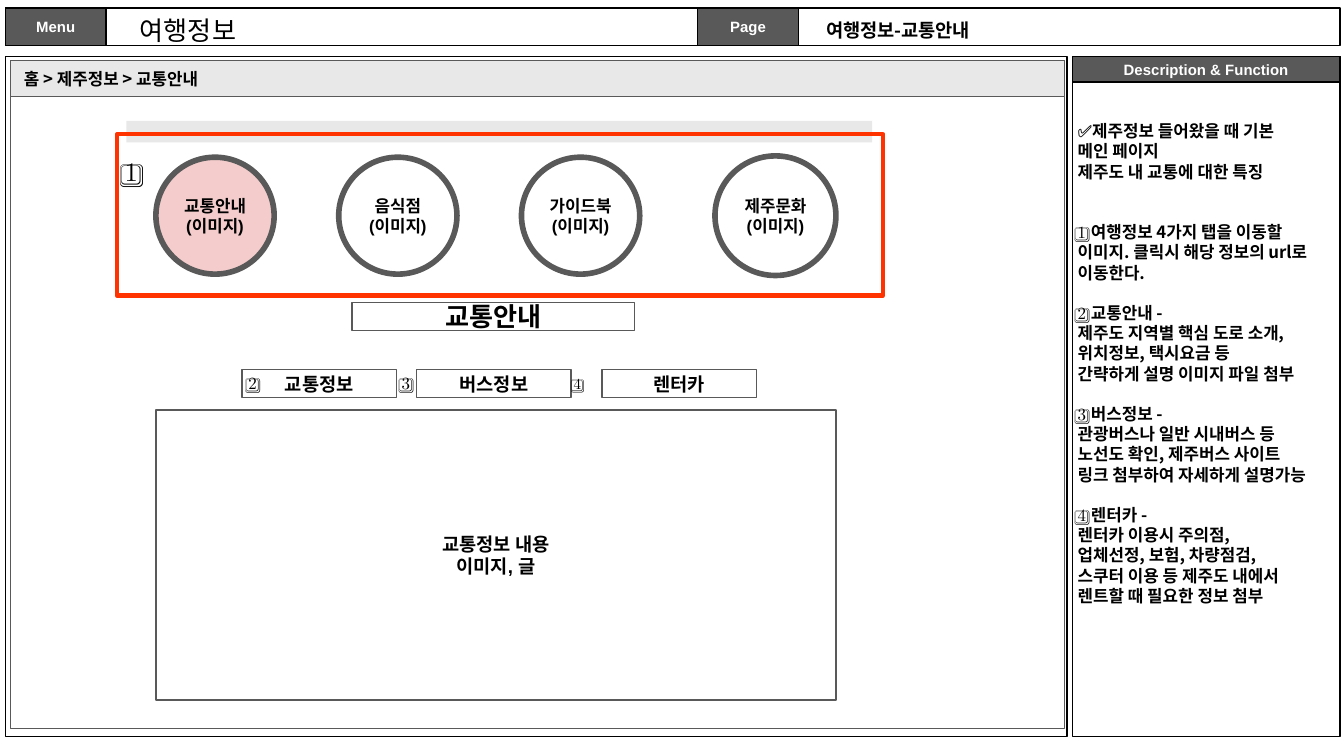
from dataclasses import dataclass

import pptx
import pptx.dml.color
import pptx.enum.shapes
import pptx.enum.text
import pptx.oxml
import pptx.oxml.ns
import pptx.util

SHAPE = pptx.enum.shapes.MSO_SHAPE
ALIGN = pptx.enum.text.PP_ALIGN
ANCHOR = pptx.enum.text.MSO_ANCHOR

# The slide is a grid of square cells: 100 columns by 56.25 rows
COLUMNS, ROWS = 100, 56.25
SLIDE_WIDTH = pptx.util.Inches(10)
CELL = SLIDE_WIDTH // COLUMNS


@dataclass(frozen=True)
class Theme:
    latin: str = "Arial"
    korean: str = "Noto Sans CJK KR"
    black: str = "000000"
    white: str = "FFFFFF"
    dark: str = "595959"
    pale: str = "E8E8E8"
    active: str = "F4CCCC"
    accent: str = "FF3300"
    title: float = 14
    heading: float = 10
    body: float = 9
    label: float = 8
    hairline: float = 0.75
    focus_line: float = 2.25
    ring: float = 3
    blank_line: float = 10.8


THEME = Theme()

# Each note: blank lines above it, keycap, heading, further lines
NOTES = [
    (0, "", "✅제주정보 들어왔을 때 기본",
     ["메인 페이지", "제주도 내 교통에 대한 특징"]),
    (2, "1️⃣ ", "여행정보 4가지 탭을 이동할",
     ["이미지. 클릭시 해당 정보의 url로", "이동한다."]),
    (1, "2️⃣ ", "교통안내 -",
     ["제주도 지역별 핵심 도로 소개,", "위치정보, 택시요금 등",
      "간략하게 설명 이미지 파일 첨부"]),
    (1, "3️⃣ ", "버스정보 -",
     ["관광버스나 일반 시내버스 등", "노선도 확인, 제주버스 사이트",
      "링크 첨부하여 자세하게 설명가능"]),
    (1, "4️⃣ ", "렌터카 -",
     ["렌터카 이용시 주의점,", "업체선정, 보험, 차량점검,",
      "스쿠터 이용 등 제주도 내에서", "렌트할 때 필요한 정보 첨부"]),
]


def cells(*lengths):
    return [round(length * CELL) for length in lengths]


def rgb(color):
    return pptx.dml.color.RGBColor.from_string(color)


def style(font, size, name=THEME.latin, color=THEME.black, bold=True):
    font.size = pptx.util.Pt(size)
    font.name = name
    font.bold = bold
    font.color.rgb = rgb(color)


def set_frame(frame, inset_x=1, inset_y=1, anchor=ANCHOR.TOP):
    frame.word_wrap = True
    frame.auto_size = pptx.enum.text.MSO_AUTO_SIZE.NONE
    frame.vertical_anchor = anchor
    frame.margin_left = frame.margin_right = cells(inset_x)[0]
    frame.margin_top = frame.margin_bottom = cells(inset_y)[0]


def add_panel(slide, box, fill=None, line=THEME.dark, width=THEME.hairline,
              lines=(), size=THEME.body, color=THEME.black, inset_x=1,
              kind=SHAPE.RECTANGLE):
    """Draw an outlined shape with optional centred lines of text."""
    panel = slide.shapes.add_shape(kind, *cells(*box))
    panel.shadow.inherit = False
    if fill:
        panel.fill.solid()
        panel.fill.fore_color.rgb = rgb(fill)
    else:
        panel.fill.background()
    if line:
        panel.line.color.rgb = rgb(line)
        panel.line.width = pptx.util.Pt(width)
    else:
        panel.line.fill.background()
    if lines:
        frame = panel.text_frame
        set_frame(frame, inset_x, anchor=ANCHOR.MIDDLE)
        frame.text = "\n".join(lines)
        for paragraph in frame.paragraphs:
            paragraph.alignment = ALIGN.CENTER
            style(paragraph.font, size, color=color)


def add_label(slide, box, text, size, inset_y=1):
    label = slide.shapes.add_textbox(*cells(*box))
    set_frame(label.text_frame, inset_y=inset_y)
    paragraph = label.text_frame.paragraphs[0]
    paragraph.text = text
    style(paragraph.font, size, THEME.korean)


def add_tab_numbers(slide, box, numbers, stops):
    """Place the keycap numbers beside the tabs by tab stops."""
    row = slide.shapes.add_textbox(*cells(*box))
    set_frame(row.text_frame)
    paragraph = row.text_frame.paragraphs[0]
    for number in numbers:
        paragraph.add_run().text = "\t" + number
    properties = paragraph._p.get_or_add_pPr()
    tab_list = pptx.oxml.parse_xml(
        f"<a:tabLst {pptx.oxml.ns.nsdecls('a')}/>")
    for stop in cells(*stops):
        tab_list.append(pptx.oxml.parse_xml(
            f'<a:tab {pptx.oxml.ns.nsdecls("a")} pos="{stop}" algn="l"/>'))
    properties.append(tab_list)
    style(paragraph.font, THEME.body, bold=False)
    paragraph.runs[-1].font.size = pptx.util.Pt(THEME.label)


def add_notes_column(slide, box):
    column = slide.shapes.add_textbox(*cells(*box))
    frame = column.text_frame
    set_frame(frame)
    paragraph = frame.paragraphs[0]
    for blank_lines, keycap, heading, details in NOTES:
        if blank_lines:
            paragraph = frame.add_paragraph()
            paragraph.space_before = pptx.util.Pt(
                blank_lines * THEME.blank_line)
        if keycap:
            number = paragraph.add_run()
            number.text = keycap
            number.font.name = THEME.latin
            number.font.bold = False
        paragraph.add_run().text = heading
        style(paragraph.font, THEME.body, THEME.korean)
        for detail in details:
            paragraph = frame.add_paragraph()
            paragraph.text = detail
            style(paragraph.font, THEME.body, THEME.korean)


def add_title(slide, box, text):
    title = slide.shapes.title
    title.left, title.top, title.width, title.height = cells(*box)
    set_frame(title.text_frame)
    paragraph = title.text_frame.paragraphs[0]
    paragraph.text = text
    paragraph.alignment = ALIGN.LEFT
    style(paragraph.font, THEME.title, bold=False)


def add_template(slide):
    """Draw the outer frames and their dark captions."""
    for box in [(0.4, 4.2, 79, 50.6), (79.8, 4.2, 19.9, 50.6),
                (0.4, 0.6, 99.3, 2.8)]:
        add_panel(slide, box, THEME.white, THEME.black)
    for caption, box in [("Description & Function", (79.8, 4.2, 19.9, 1.9)),
                         ("Menu", (0.4, 0.6, 7.5, 2.8)),
                         ("Page", (51.9, 0.6, 7.5, 2.8))]:
        add_panel(slide, box, THEME.dark, THEME.black, lines=[caption],
                  size=THEME.label, color=THEME.white)


def add_navigation(slide):
    """Draw the four round links; the last one is slightly larger."""
    links = ["교통안내", "음식점", "가이드북", "제주문화"]
    boxes = [(11.6 + 13.6 * i, 11.7, 8.8, 8.7) for i in range(3)]
    boxes.append((53.2, 11.6, 9, 8.9))
    for link, box in zip(links, boxes):
        fill = THEME.active if link == links[0] else THEME.white
        add_panel(slide, box, fill, width=THEME.ring,
                  lines=[link, "(이미지)"], inset_x=0.4, kind=SHAPE.OVAL)


def add_content(slide):
    """Draw the section heading, its tabs and the content area."""
    add_panel(slide, (26.2, 22.5, 21, 2.1), THEME.white,
              lines=["교통안내"], size=THEME.title)
    for tab, left in [("교통정보", 18), ("버스정보", 31), ("렌터카", 44.8)]:
        add_panel(slide, (left, 27.5, 11.5, 2.1), lines=[tab],
                  size=THEME.heading)
    add_panel(slide, (11.6, 30.5, 50.6, 21.6), THEME.white,
              lines=["교통정보 내용", "이미지, 글"], size=THEME.heading)


def main():
    deck = pptx.Presentation()
    deck.slide_width = SLIDE_WIDTH
    deck.slide_height = round(ROWS * CELL)
    slide = deck.slides.add_slide(deck.slide_layouts.get_by_name("Title Only"))

    # Template and title; the title is moved above the header bar
    add_template(slide)
    add_title(slide, (9.4, 0.1, 40.6, 4.4), "여행정보")
    slide.shapes._spTree.append(slide.shapes.title._element)
    add_label(slide, (60.5, 0.9, 36.1, 2.7), "여행정보-교통안내",
              THEME.heading, inset_y=0.5)

    # Page area with breadcrumb
    add_panel(slide, (9.4, 9, 55.5, 1.6), THEME.pale, line=None)
    add_panel(slide, (8.7, 10, 57, 12), line=THEME.accent,
              width=THEME.focus_line)
    add_panel(slide, (0.8, 4.5, 78.4, 49.7))
    add_panel(slide, (0.8, 4.5, 78.4, 2.7), THEME.pale)
    add_label(slide, (0.8, 4.1, 24.3, 3.5), "홈 > 제주정보 > 교통안내",
              THEME.body)

    # Page content
    add_navigation(slide)
    add_label(slide, (8.3, 10.6, 3.2, 4.4), "1️⃣", THEME.title)
    add_content(slide)
    add_tab_numbers(slide, (11.9, 26.7, 50, 6.9), ["2️⃣", "3️⃣", "4️⃣"],
                    (5.6, 17, 29.8))

    # Description column
    add_notes_column(slide, (79.2, 8, 20.1, 50.5))
    deck.save("out.pptx")


if __name__ == "__main__":
    main()
